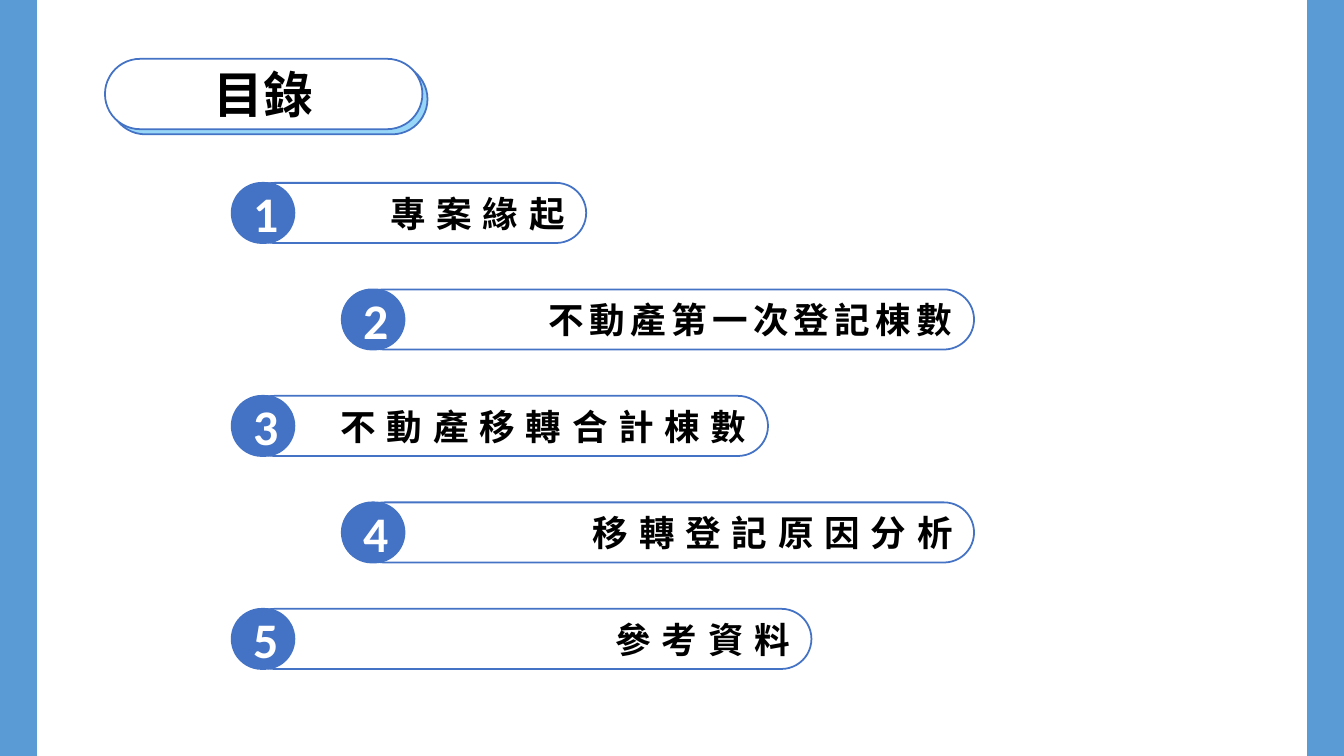
from dataclasses import dataclass

from lxml.etree import SubElement
from pptx import Presentation
from pptx.dml.color import RGBColor
from pptx.enum.shapes import MSO_SHAPE
from pptx.enum.text import MSO_ANCHOR, PP_ALIGN
from pptx.oxml.ns import qn
from pptx.util import Inches, Pt

# Content: label, badge left, pill width (inches), letter spacing (points)
TITLE = "目錄"
CHAPTERS = [
    ("專案緣起", 1.81, 2.67, 6),
    ("不動產第一次登記棟數", 2.67, 4.84, 3),
    ("不動產移轉合計棟數", 1.81, 4.09, 6),
    ("移轉登記原因分析", 2.67, 4.84, 6),
    ("參考資料", 1.81, 4.43, 6),
]


@dataclass(frozen=True)
class Theme:
    frame: RGBColor = RGBColor(0x5B, 0x9B, 0xD5)
    accent: RGBColor = RGBColor(0x44, 0x72, 0xC4)
    echo: RGBColor = RGBColor(0x98, 0xD6, 0xF8)
    white: RGBColor = RGBColor(0xFF, 0xFF, 0xFF)
    black: RGBColor = RGBColor(0x00, 0x00, 0x00)
    text_font: str = "Roboto"
    number_font: str = "Calibri"
    large: int = 28
    label: int = 20


THEME = Theme()
SLIDE_WIDTH, SLIDE_HEIGHT = 10.5, 5.91
FRAME_LEFT, PAGE_WIDTH = 0.29, 9.92
FIRST_TOP, LAST_TOP = 1.43, 4.76
ROW_PITCH = (LAST_TOP - FIRST_TOP) / (len(CHAPTERS) - 1)
ROW_HEIGHT, BADGE_WIDTH, PILL_OFFSET = 0.47, 0.49, 0.1
TITLE_BOX = (0.82, 0.46, 2.48, 0.55)
ECHO_OFFSET = 0.04


def add_block(slide, kind, box, fill, line=None):
    shape = slide.shapes.add_shape(kind, *map(Inches, box))
    shape.shadow.inherit = False
    shape.fill.solid()
    shape.fill.fore_color.rgb = fill
    if line is None:
        shape.line.fill.background()
    else:
        shape.line.color.rgb = line
        shape.line.width = Pt(1)
    return shape


def add_pill(slide, box, fill):
    shape = add_block(slide, MSO_SHAPE.ROUNDED_RECTANGLE, box, fill, THEME.accent)
    shape.adjustments[0] = 0.5
    return shape


def write(shape, text, size, font_name, color, alignment, spacing=0):
    frame = shape.text_frame
    frame.word_wrap = True
    frame.vertical_anchor = MSO_ANCHOR.MIDDLE
    paragraph = frame.paragraphs[0]
    paragraph.alignment = alignment
    run = paragraph.add_run()
    run.text = text
    font = paragraph.font
    font.size = Pt(size)
    font.name = font_name
    font.bold = True
    font.color.rgb = color
    # Letter spacing and East Asian typeface
    properties = run._r.get_or_add_rPr()
    if spacing:
        properties.set("spc", str(spacing * 100))
    SubElement(properties, qn("a:ea"), typeface=font_name)


def add_chapter(slide, index, label, left, width, spacing):
    top = FIRST_TOP + index * ROW_PITCH
    pill = add_pill(slide, (left + PILL_OFFSET, top, width, ROW_HEIGHT), THEME.white)
    write(pill, label, THEME.label, THEME.text_font, THEME.black, PP_ALIGN.RIGHT, spacing)
    badge = add_pill(slide, (left, top, BADGE_WIDTH, ROW_HEIGHT), THEME.accent)
    write(badge, str(index + 1), THEME.large, THEME.number_font, THEME.white, PP_ALIGN.CENTER)


def add_title(slide):
    left, top, width, height = TITLE_BOX
    add_pill(slide, (left + ECHO_OFFSET, top + ECHO_OFFSET, width, height), THEME.echo)
    add_pill(slide, TITLE_BOX, THEME.white)
    title = slide.shapes.title
    title.left, title.top, title.width, title.height = map(Inches, TITLE_BOX)
    write(title, TITLE, THEME.large, THEME.text_font, THEME.black, PP_ALIGN.CENTER)
    # Bring the title in front of its pill
    slide.shapes._spTree.append(title._element)


def main():
    presentation = Presentation()
    presentation.slide_width = Inches(SLIDE_WIDTH)
    presentation.slide_height = Inches(SLIDE_HEIGHT)
    slide = presentation.slides.add_slide(presentation.slide_layouts[5])

    # Blue side bands around a white page
    add_block(slide, MSO_SHAPE.RECTANGLE, (0, 0, SLIDE_WIDTH, SLIDE_HEIGHT), THEME.frame)
    add_block(slide, MSO_SHAPE.RECTANGLE, (FRAME_LEFT, 0, PAGE_WIDTH, SLIDE_HEIGHT), THEME.white)

    # Chapter list and title
    for index, chapter in enumerate(CHAPTERS):
        add_chapter(slide, index, *chapter)
    add_title(slide)

    presentation.save("out.pptx")


if __name__ == "__main__":
    main()
